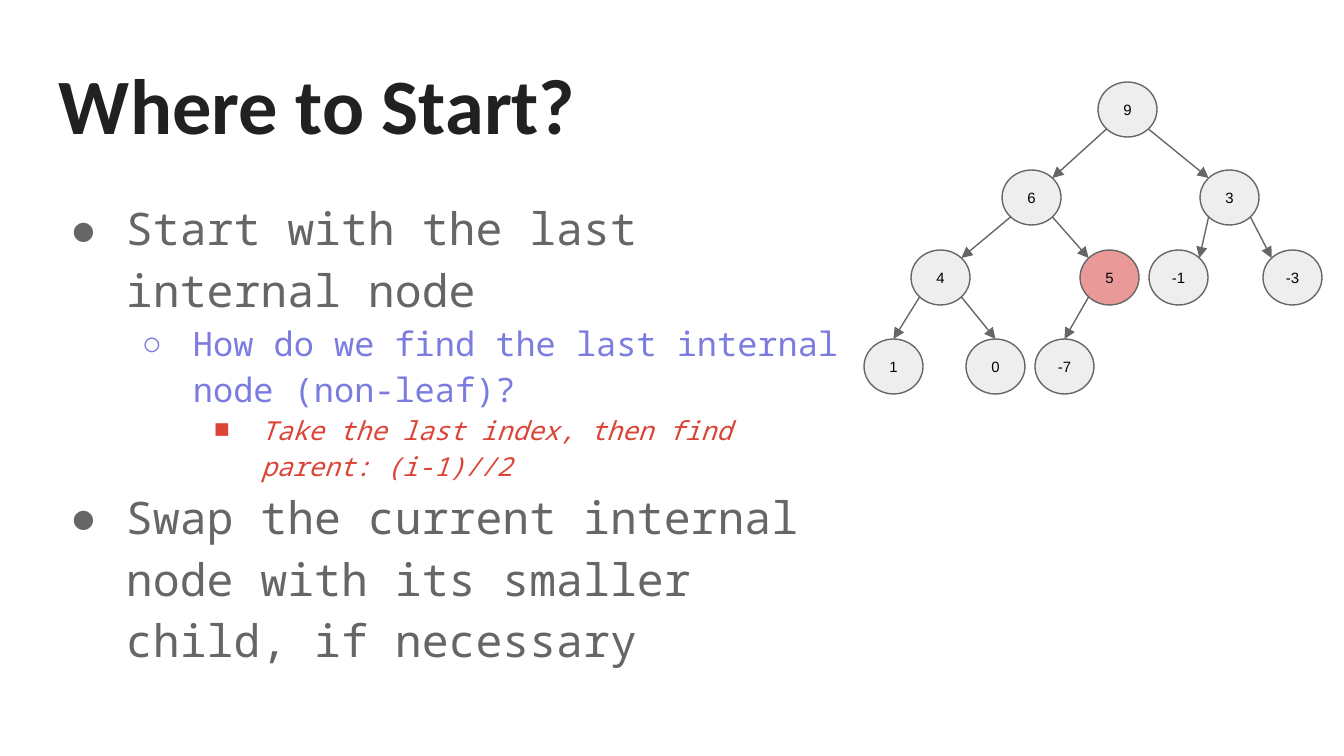
"""Build a slide on where heapify starts, with its heap drawn as a tree."""
from dataclasses import dataclass

from lxml.etree import SubElement
from pptx import Presentation
from pptx.dml.color import RGBColor
from pptx.enum.shapes import MSO_CONNECTOR, MSO_SHAPE
from pptx.enum.text import MSO_ANCHOR, MSO_AUTO_SIZE, PP_ALIGN
from pptx.oxml.ns import qn
from pptx.util import Pt

TITLE = "Where to Start?"
POINTS = [
    (0, "Start with the last internal node"),
    (1, "How do we find the last internal node (non-leaf)?"),
    (2, "Take the last index, then find parent: (i-1)//2"),
    (0, "Swap the current internal node with its smaller child, if necessary"),
]
HEAP = [9, 6, 3, 4, 5, -1, -3, 1, 0, -7]
LEFTS = [1098, 1002, 1200, 911, 1080, 1149, 1263, 864, 966, 1035]
TOPS = [82, 170, 250, 339]
LAST = (len(HEAP) - 2) // 2
NODE = (59, 55)
PAGE = (1344, 756)
TITLE_BOX = (46, 43, 1252, 118)
BODY_BOX = (46, 180, 806, 490)
INSET = 13
LEVELS = [("●", 67, 56), ("○", 134, 51), ("■", 202, 47)]


@dataclass(frozen=True)
class Theme:
    """Colours, fonts and type sizes of the slide."""
    title: str = "212121"
    levels: tuple = ("666666", "7C7CE0", "DB4437")
    line: str = "666666"
    node: str = "EEEEEE"
    mark: str = "EA9999"
    label: str = "000000"
    head: str = "Calibri"
    mono: str = "Noto Sans Mono"
    sans: str = "Arial"
    title_size: int = 42
    sizes: tuple = (24, 18, 14)
    label_size: int = 8
    stroke: float = 0.75


THEME = Theme()


def px(count):
    """Turn pixels into EMU."""
    return round(count * 914400 / 134.4)


def style(para, face, size, color, bold=False, italic=False):
    """Set the font of a whole paragraph."""
    font = para.font
    font.name, font.size = face, Pt(size)
    font.bold, font.italic = bold, italic
    font.color.rgb = RGBColor.from_string(color)


def frame(shape, anchor):
    """Give a shape's text frame its insets and anchor."""
    text = shape.text_frame
    text.margin_left = text.margin_right = px(INSET)
    text.margin_top = text.margin_bottom = px(INSET)
    text.word_wrap, text.auto_size = True, MSO_AUTO_SIZE.NONE
    text.vertical_anchor = anchor
    return text


def place(shape, box):
    """Move a placeholder to a box and return its text frame."""
    shape.left, shape.top, shape.width, shape.height = map(px, box)
    return frame(shape, MSO_ANCHOR.TOP)


def bullet(para, level):
    """Set the indent and bullet of a list paragraph."""
    char, left, hang = LEVELS[level]
    props = para._p.get_or_add_pPr()
    props.set("marL", str(px(left)))
    props.set("indent", str(-px(hang)))
    color = SubElement(props, qn("a:buClr"))
    SubElement(color, qn("a:srgbClr"), val=THEME.levels[level])
    SubElement(props, qn("a:buFont"), typeface=THEME.mono)
    SubElement(props, qn("a:buChar"), char=char)


def add_list(text):
    """Fill the body with the bulleted points."""
    for spot, (level, words) in enumerate(POINTS):
        para = text.add_paragraph() if spot else text.paragraphs[0]
        para.text, para.level = words, level
        para.alignment = PP_ALIGN.LEFT
        para.line_spacing, para.space_before = 1.15, Pt(0)
        bullet(para, level)
        style(para, THEME.mono, THEME.sizes[level], THEME.levels[level],
              italic=level == 2)


def row(spot):
    """Return the tree row of a heap index."""
    return (spot + 1).bit_length() - 1


def rim(spot, across, down):
    """Return the point on a node's rim in the given direction."""
    wide, high = NODE
    reach = 0.5 / (across ** 2 + down ** 2) ** 0.5
    return (px(LEFTS[spot] + wide * (0.5 + across * reach)),
            px(TOPS[row(spot)] + high * (0.5 + down * reach)))


def add_node(shapes, spot):
    """Draw one heap node."""
    box = (LEFTS[spot], TOPS[row(spot)], *NODE)
    node = shapes.add_shape(MSO_SHAPE.OVAL, *map(px, box))
    node.shadow.inherit = False
    node.fill.solid()
    fill = THEME.mark if spot == LAST else THEME.node
    node.fill.fore_color.rgb = RGBColor.from_string(fill)
    node.line.color.rgb = RGBColor.from_string(THEME.line)
    node.line.width = Pt(THEME.stroke)
    para = frame(node, MSO_ANCHOR.MIDDLE).paragraphs[0]
    para.text, para.alignment = str(HEAP[spot]), PP_ALIGN.CENTER
    style(para, THEME.sans, THEME.label_size, THEME.label)


def add_edge(shapes, child):
    """Draw the arrow from a node's parent to the node."""
    side = -1 if child % 2 else 1
    start = rim((child - 1) // 2, side, 1)
    lean = 0 if row(child) == len(TOPS) - 1 else -side
    edge = shapes.add_connector(MSO_CONNECTOR.STRAIGHT, *start,
                                *rim(child, lean, -1))
    edge.line.color.rgb = RGBColor.from_string(THEME.line)
    edge.line.width = Pt(THEME.stroke)
    SubElement(edge.line._get_or_add_ln(), qn("a:tailEnd"), type="triangle")
    SubElement(edge._element.spPr, qn("a:effectLst"))


def main():
    """Build and save the deck."""
    deck = Presentation()
    deck.slide_width, deck.slide_height = map(px, PAGE)
    slide = deck.slides.add_slide(deck.slide_layouts[1])
    para = place(slide.shapes.title, TITLE_BOX).paragraphs[0]
    para.text, para.alignment = TITLE, PP_ALIGN.LEFT
    style(para, THEME.head, THEME.title_size, THEME.title, bold=True)
    add_list(place(slide.placeholders[1], BODY_BOX))
    tree = slide.shapes.add_group_shape().shapes
    for spot in range(len(HEAP)):
        add_node(tree, spot)
    for child in range(1, len(HEAP)):
        add_edge(tree, child)
    deck.save("out.pptx")


if __name__ == "__main__":
    main()
